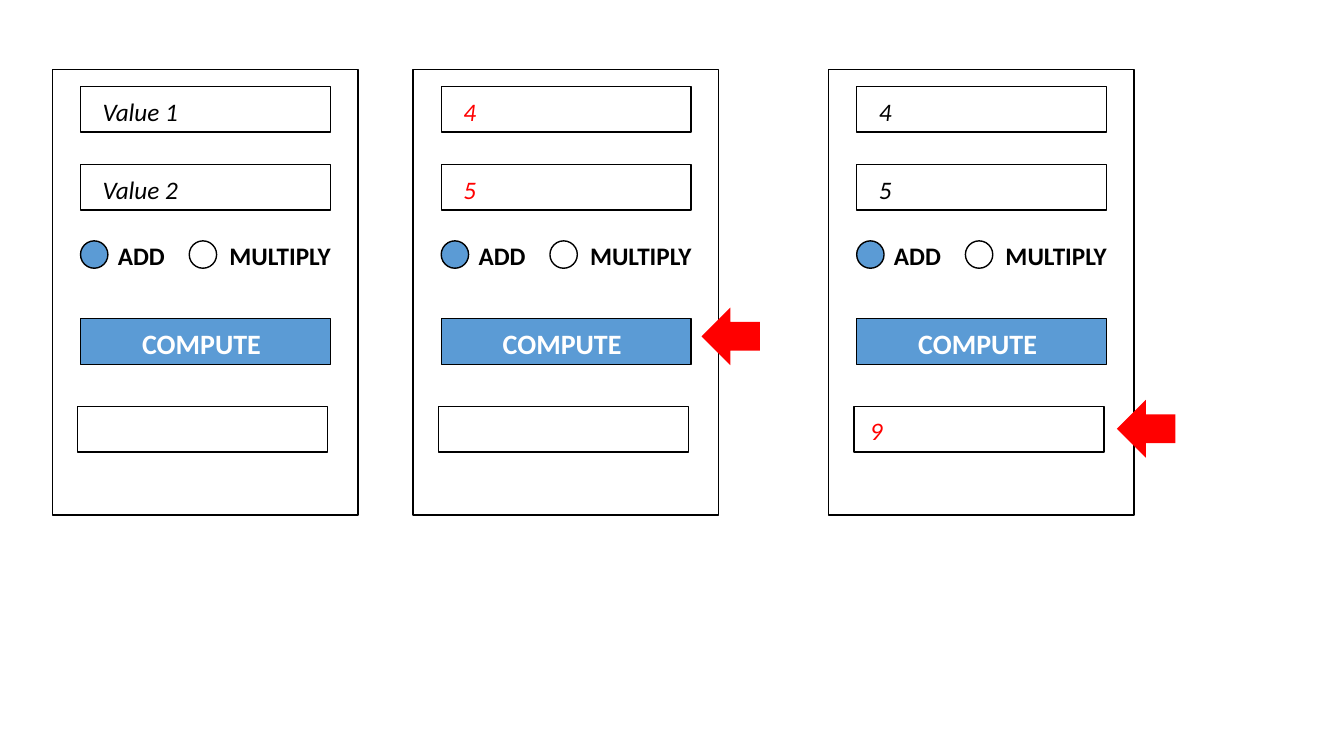
from pptx import Presentation
from pptx.dml.color import RGBColor
from pptx.enum.shapes import MSO_SHAPE
from pptx.enum.text import MSO_AUTO_SIZE
from pptx.util import Cm, Pt

RECT = MSO_SHAPE.RECTANGLE
OVAL = MSO_SHAPE.OVAL
ARROW = MSO_SHAPE.LEFT_ARROW
FIT_SHAPE = MSO_AUTO_SIZE.SHAPE_TO_FIT_TEXT

COLORS = {"black": "000000", "white": "FFFFFF", "blue": "5B9BD5", "red": "FF0000"}

# Shared measures in cm; x offsets count from the left edge of a panel
PANEL_TOP, PANEL_W, PANEL_H = 1.75, 7.7, 11.23
FIELD_X, FIELD_W, FIELD_H = 0.71, 6.3, 1.15
VALUE_TOPS = (2.18, 4.14)
BUTTON_TOP, RESULT_TOP = 8.03, 10.24
RADIO_TOP, RADIO_SIZE = 6.07, 0.69
ARROW_X, ARROW_W, ARROW_H = 7.27, 1.47, 1.45

# Radio buttons: circle x, fill, label x, label width, label
RADIOS = [
    (0.71, "blue", 1.4, 1.7, "ADD"),
    (3.45, "white", 4.21, 3.1, "MULTIPLY"),
]

# Panels: left, values, value colour, value text width, result, arrow top
PANELS = [
    (1.32, ("Value 1", "Value 2"), "black", 2.44, None, None),
    (10.41, ("4", "5"), "red", 0.84, None, 7.75),
    (20.88, ("4", "5"), "black", 0.84, "9", 10.08),
]


class Mockup:
    font = "Calibri"
    line_width = Pt(1)

    def __init__(self, slide):
        self.s = slide

    def color(self, name):
        return RGBColor.from_string(COLORS[name])

    def shape(self, kind, x, y, w, h, fill="white", line="black"):
        sp = self.s.shapes.add_shape(kind, Cm(x), Cm(y), Cm(w), Cm(h))
        sp.shadow.inherit = False
        sp.fill.solid()
        sp.fill.fore_color.rgb = self.color(fill)
        if line:
            sp.line.color.rgb = self.color(line)
            sp.line.width = self.line_width
        else:
            sp.line.fill.background()

    def text(self, x, y, w, words, color="black", size=18, h=1.02,
             bold=False, italic=False):
        sp = self.s.shapes.add_textbox(Cm(x), Cm(y), Cm(w), Cm(h))
        tf = sp.text_frame
        tf.word_wrap = False
        tf.auto_size = FIT_SHAPE
        r = tf.paragraphs[0].add_run()
        r.text = words
        r.font.name = self.font
        r.font.size = Pt(size)
        r.font.bold = bold
        r.font.italic = italic
        r.font.color.rgb = self.color(color)

    def field(self, x, y, fill="white"):
        self.shape(RECT, x, y, FIELD_W, FIELD_H, fill)

    def panel(self, left, values, value_color, value_w, result, arrow_top):
        self.shape(RECT, left, PANEL_TOP, PANEL_W, PANEL_H)

        # Input values
        for top, value in zip(VALUE_TOPS, values):
            self.field(left + FIELD_X, top)
            self.text(left + 1.02, top + 0.13, value_w, value, value_color,
                      italic=True)

        # Operation choice
        for x, fill, label_x, label_w, label in RADIOS:
            self.shape(OVAL, left + x, RADIO_TOP, RADIO_SIZE, RADIO_SIZE, fill)
            self.text(left + label_x, 5.92, label_w, label, bold=True)

        # Compute button
        self.field(left + FIELD_X, BUTTON_TOP, "blue")
        self.text(left + 2.01, 8.1, 3.53, "COMPUTE", "white", 20, 1.12, bold=True)

        # Result field
        self.field(left + 0.64, RESULT_TOP)
        if result:
            self.text(left + 0.79, RESULT_TOP + 0.1, 0.84, result, "red",
                      italic=True)

        # Pointer to the active step
        if arrow_top:
            self.shape(ARROW, left + ARROW_X, arrow_top, ARROW_W, ARROW_H,
                       "red", None)


def main():
    prs = Presentation()
    prs.slide_width, prs.slide_height = Cm(33.87), Cm(19.05)
    mockup = Mockup(prs.slides.add_slide(prs.slide_layouts[6]))
    for panel in PANELS:
        mockup.panel(*panel)
    prs.save("out.pptx")


if __name__ == "__main__":
    main()
